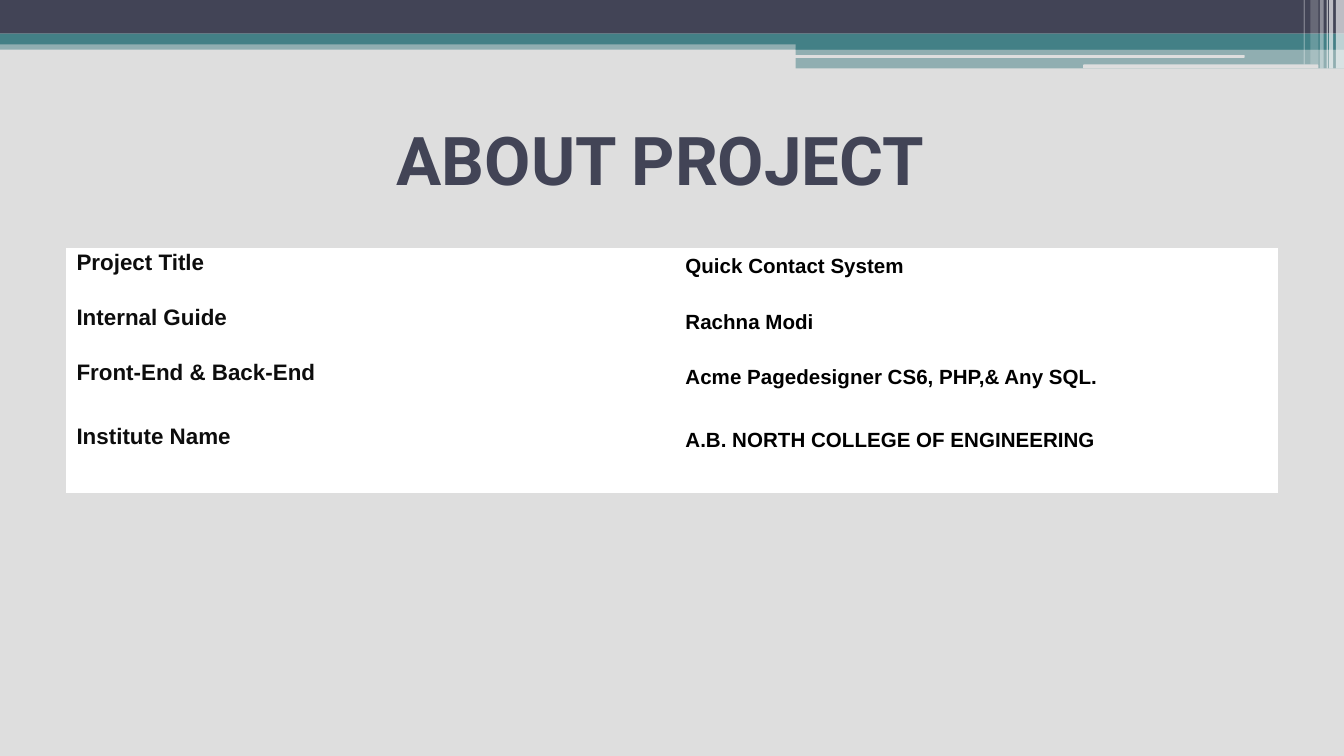
import pptx
import pptx.util
import pptx.dml.color
import pptx.enum.shapes
import pptx.enum.text
import pptx.oxml
import pptx.oxml.ns
from pptx.util import Inches, Pt

RGBColor = pptx.dml.color.RGBColor
Kind = pptx.enum.shapes.MSO_SHAPE
Align = pptx.enum.text.PP_ALIGN
Anchor = pptx.enum.text.MSO_ANCHOR

GREY = RGBColor(0xDE, 0xDE, 0xDE)
NAVY = RGBColor(0x42, 0x44, 0x56)
TEAL = RGBColor(0x43, 0x80, 0x86)
WHITE = RGBColor(0xFF, 0xFF, 0xFF)
BLACK = RGBColor(0, 0, 0)
INK = RGBColor(0x0D, 0x0D, 0x0D)

PAGE_WIDTH = Inches(10)
PAGE_HEIGHT = PAGE_WIDTH * 9 // 16

TITLE = "ABOUT PROJECT "
DETAILS = [
    ("Project Title", "Quick Contact System"),
    ("Internal Guide", "Rachna Modi"),
    ("Front-End & Back-End", "Acme Pagedesigner CS6, PHP,& Any SQL."),
    ("Institute Name", "A.B. NORTH COLLEGE OF ENGINEERING"),
]
ROW_HEIGHTS = [0.41, 0.41, 0.47, 0.52]

BANDS = [
    (0, 0.3, 10, 0.07, TEAL, 50),
    (0, 0, 10, 0.25, NAVY, 100),
    (0, 0.25, 10, 0.08, TEAL, 100),
    (5.92, 0.3, 4.08, 0.07, TEAL, 100),
    (5.92, 0.36, 4.08, 0.15, TEAL, 50),
]
SLITS = [(5.91, 0.41, 3.35, 0.02, GREY, 100), (8.06, 0.48, 1.75, 0.03, GREY, 100)]
STRIPES = [
    (9.94, 0.06, 0.51, 65),
    (9.89, 0.03, 0.51, 65),
    (9.87, 0.01, 0.51, 60),
    (9.82, 0.03, 0.51, 40),
    (9.75, 0.06, 0.48, 20),
    (9.7, 0.01, 0.48, 30),
]

LABEL_FONT = {"name": "Arial", "size": Pt(12), "bold": True}
VALUE_FONT = {"name": "Arial", "size": Pt(11), "bold": True}
TITLE_FONT = {"name": "Roboto", "size": Pt(36), "bold": True}
LABEL_SPACING = {"line_spacing": 1.07, "space_after": Pt(8)}
LABEL_MARGINS = {
    "margin_left": Inches(0.07),
    "margin_right": Inches(0.07),
    "margin_top": 0,
    "margin_bottom": 0,
}


def apply(target, values):
    for name, value in values.items():
        setattr(target, name, value)


def write(frame, text, font, color, paragraph_format):
    para = frame.paragraphs[0]
    apply(para, paragraph_format)
    span = para.add_run()
    span.text = text
    apply(span.font, font)
    span.font.color.rgb = color


def add_bar(page, kind, left, top, width, height, color, opacity):
    bar = page.shapes.add_shape(
        kind, Inches(left), Inches(top), Inches(width), Inches(height)
    )
    bar.shadow.inherit = False
    bar.line.fill.background()
    bar.fill.solid()
    bar.fill.fore_color.rgb = color
    if opacity < 100:
        tint = bar.element.spPr.find(".//" + pptx.oxml.ns.qn("a:srgbClr"))
        alpha = pptx.oxml.parse_xml(
            f'<a:alpha {pptx.oxml.ns.nsdecls("a")} val="{opacity * 1000}"/>'
        )
        tint.append(alpha)


def add_title(page):
    box = page.shapes.add_textbox(Inches(0.47), Inches(0.86), Inches(9), Inches(0.64))
    apply(box.text_frame, {"word_wrap": True, "vertical_anchor": Anchor.MIDDLE})
    write(box.text_frame, TITLE, TITLE_FONT, NAVY, {"alignment": Align.CENTER})


def add_details(page):
    table = page.shapes.add_table(
        len(DETAILS), 2, Inches(0.5), Inches(1.85), Inches(9), Inches(sum(ROW_HEIGHTS))
    ).table
    apply(table, {"first_row": False, "horz_banding": False})
    for row, height, (label, value) in zip(table.rows, ROW_HEIGHTS, DETAILS):
        row.height = Inches(height)
        label_cell, value_cell = row.cells
        for cell in (label_cell, value_cell):
            cell.fill.solid()
            cell.fill.fore_color.rgb = WHITE
        apply(label_cell, LABEL_MARGINS)
        write(label_cell.text_frame, label, LABEL_FONT, INK, LABEL_SPACING)
        write(value_cell.text_frame, value, VALUE_FONT, BLACK, {})


def main():
    deck = pptx.Presentation()
    apply(deck, {"slide_width": PAGE_WIDTH, "slide_height": PAGE_HEIGHT})
    page = deck.slides.add_slide(deck.slide_layouts[6])
    page.background.fill.solid()
    page.background.fill.fore_color.rgb = GREY
    for band in BANDS:
        add_bar(page, Kind.RECTANGLE, *band)
    for slit in SLITS:
        add_bar(page, Kind.ROUNDED_RECTANGLE, *slit)
    for left, width, height, opacity in STRIPES:
        add_bar(page, Kind.RECTANGLE, left, 0, width, height, WHITE, opacity)
    add_title(page)
    add_details(page)
    deck.save("out.pptx")


if __name__ == "__main__":
    main()
